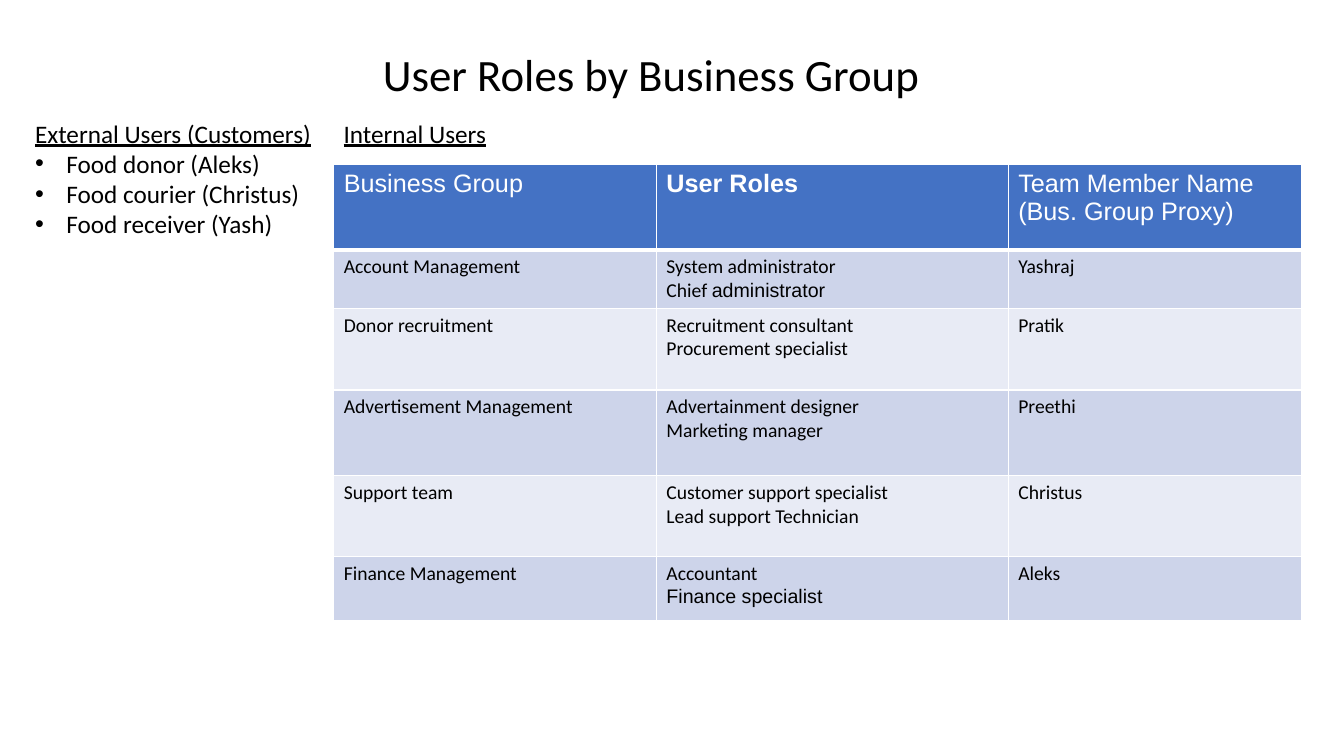
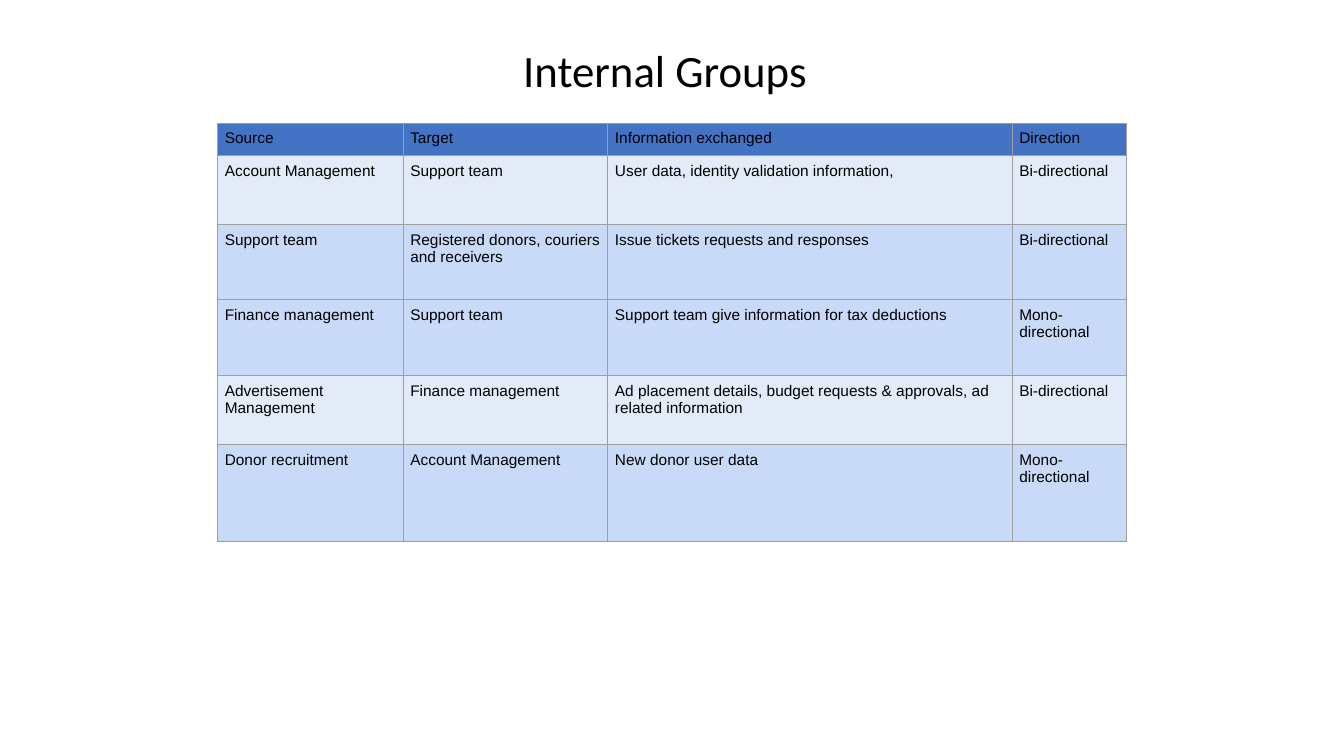
import dataclasses
import typing

import lxml.etree
import pptx
import pptx.dml.color
import pptx.enum.text
import pptx.oxml.ns
import pptx.slide
import pptx.table
import pptx.text.text
import pptx.util

Inches = pptx.util.Inches
qn = pptx.oxml.ns.qn
Format = dict[str, typing.Any]


# Theme: every colour and type style
@dataclasses.dataclass(frozen=True)
class Theme:
    black: str = "000000"
    white: str = "FFFFFF"
    grid: str = "9E9E9E"
    header: str = "4472C4"
    role_dark: str = "CDD4EA"
    role_light: str = "E8EBF5"
    exchange_dark: str = "C9DAF8"
    exchange_light: str = "E3EBF9"
    title: Format = dataclasses.field(default_factory=lambda: text_format("Calibri", 32))
    list_text: Format = dataclasses.field(default_factory=lambda: text_format("Calibri", 18))
    role_header: Format = dataclasses.field(default_factory=lambda: text_format("Arial", 18))
    role_text: Format = dataclasses.field(default_factory=lambda: text_format("Calibri", 14))
    exchange_text: Format = dataclasses.field(default_factory=lambda: text_format("Arial", 11))


def text_format(name: str, size: float) -> Format:
    return {"name": name, "size": pptx.util.Pt(size), "bold": False}


THEME = Theme()


# Descriptions of repeated elements
@dataclasses.dataclass(frozen=True)
class Span:
    text: str
    changes: Format = dataclasses.field(default_factory=dict)


@dataclasses.dataclass(frozen=True)
class Line:
    spans: tuple[Span, ...]
    bullet: bool = False


@dataclasses.dataclass(frozen=True)
class TextBox:
    left: float
    top: float
    width: float
    height: float
    style: Format
    lines: tuple[Line, ...]


Cell = tuple[Line, ...]


@dataclasses.dataclass(frozen=True)
class Grid:
    left: float
    top: float
    columns: tuple[float, ...]
    heights: tuple[float, ...]
    rows: tuple[tuple[Cell, ...], ...]
    fills: tuple[str, ...]
    header_style: Format
    header_color: str
    body_style: Format
    margins: tuple[float, float]
    border_color: str
    border: float
    header_border: float


def line(text: str, bullet: bool = False, **changes: typing.Any) -> Line:
    return Line((Span(text, changes),), bullet)


def cells(*texts: str) -> tuple[Cell, ...]:
    return tuple(tuple(line(part) for part in text.split("\n")) for text in texts)


# Text
def add_bullet(para: typing.Any) -> None:
    properties = para._p.get_or_add_pPr()
    properties.set("marL", str(Inches(0.31)))
    properties.set("indent", str(Inches(-0.31)))
    color = lxml.etree.SubElement(properties, qn("a:buClr"))
    lxml.etree.SubElement(color, qn("a:srgbClr"), val=THEME.black)
    lxml.etree.SubElement(properties, qn("a:buFont"), typeface="Arial")
    lxml.etree.SubElement(properties, qn("a:buChar"), char="•")


def write_lines(frame: pptx.text.text.TextFrame, lines: tuple[Line, ...],
                style: Format, color: str) -> None:
    for index, content in enumerate(lines):
        para = frame.add_paragraph() if index else frame.paragraphs[0]
        if content.bullet:
            add_bullet(para)
        for span in content.spans:
            run = para.add_run()
            run.text = span.text
            for name, value in (style | span.changes).items():
                setattr(run.font, name, value)
            run.font.color.rgb = pptx.dml.color.RGBColor.from_string(color)


def add_text(page: pptx.slide.Slide, item: TextBox) -> None:
    box = page.shapes.add_textbox(Inches(item.left), Inches(item.top),
                                  Inches(item.width), Inches(item.height))
    box.text_frame.word_wrap = True
    box.text_frame.auto_size = pptx.enum.text.MSO_AUTO_SIZE.SHAPE_TO_FIT_TEXT
    write_lines(box.text_frame, item.lines, item.style, THEME.black)


def add_title(page: pptx.slide.Slide, text: str, left: float, top: float, width: float) -> None:
    add_text(page, TextBox(left, top, width, 0.64, THEME.title, (line(text),)))


# Tables
def set_borders(cell: pptx.table._Cell, color: str, widths: dict[str, float]) -> None:
    properties = cell._tc.get_or_add_tcPr()
    for index, (side, width) in enumerate(widths.items()):
        edge = lxml.etree.Element(qn(f"a:ln{side}"), w=str(pptx.util.Pt(width)))
        fill = lxml.etree.SubElement(edge, qn("a:solidFill"))
        lxml.etree.SubElement(fill, qn("a:srgbClr"), val=color)
        properties.insert(index, edge)


def add_grid(page: pptx.slide.Slide, grid: Grid) -> None:
    table = page.shapes.add_table(
        len(grid.rows), len(grid.columns), Inches(grid.left), Inches(grid.top),
        Inches(sum(grid.columns)), Inches(sum(grid.heights))).table
    for column, width in zip(table.columns, grid.columns):
        column.width = Inches(width)
    side, end = (Inches(margin) for margin in grid.margins)
    margins = {"margin_left": side, "margin_right": side, "margin_top": end, "margin_bottom": end}
    for row_index, (contents, height) in enumerate(zip(grid.rows, grid.heights)):
        table.rows[row_index].height = Inches(height)
        is_header = row_index == 0
        style = grid.header_style if is_header else grid.body_style
        color = grid.header_color if is_header else THEME.black
        widths = {"L": grid.border, "R": grid.border,
                  "T": grid.header_border if row_index == 1 else grid.border,
                  "B": grid.header_border if is_header else grid.border}
        for column_index, lines in enumerate(contents):
            cell = table.cell(row_index, column_index)
            for name, value in margins.items():
                setattr(cell, name, value)
            cell.fill.solid()
            cell.fill.fore_color.rgb = pptx.dml.color.RGBColor.from_string(grid.fills[row_index])
            set_borders(cell, grid.border_color, widths)
            write_lines(cell.text_frame, lines, style, color)


# Slide content
USER_LISTS = (
    TextBox(0.25, 1.12, 2.97, 1.31, THEME.list_text, (
        line("External Users (Customers)", underline=True),
        *(line(user, bullet=True) for user in
          ("Food donor (Aleks)", "Food courier (Christus)", "Food receiver (Yash)")))),
    TextBox(3.31, 1.12, 1.63, 0.4, THEME.list_text, (line("Internal Users", underline=True),)),
)

ROLES = Grid(
    left=3.31, top=1.63,
    columns=(3.2, 3.49, 2.91),
    heights=(0.85, 0.58, 0.81, 0.85, 0.8, 0.64),
    rows=(
        ((line("Business Group"),), (line("User Roles", bold=True),),
         (line("Team Member Name"), line("(Bus. Group Proxy)"))),
        ((line("Account Management"),),
         (line("System administrator"),
          Line((Span("Chief "), Span("administrator", {"name": "Arial"})))),
         (line("Yashraj"),)),
        cells("Donor recruitment", "Recruitment consultant\nProcurement specialist", "Pratik"),
        cells("Advertisement Management", "Advertainment designer\nMarketing manager", "Preethi"),
        cells("Support team", "Customer support specialist\nLead support Technician", "Christus"),
        ((line("Finance Management"),),
         (line("Accountant"), line("Finance specialist", name="Arial")),
         (line("Aleks"),)),
    ),
    fills=(THEME.header, *(THEME.role_dark, THEME.role_light) * 2, THEME.role_dark),
    header_style=THEME.role_header, header_color=THEME.white, body_style=THEME.role_text,
    margins=(0.1, 0.05), border_color=THEME.white, border=1, header_border=3,
)

EXCHANGES = Grid(
    left=2.16, top=1.22,
    columns=(1.84, 2.03, 4.01, 1.13),
    heights=(0.32, 0.68, 0.75, 0.75, 0.69, 0.96),
    rows=(
        cells("Source", "Target", "Information exchanged", "Direction"),
        cells("Account Management", "Support team",
              "User data, identity validation information,", "Bi-directional"),
        cells("Support team", "Registered donors, couriers and receivers",
              "Issue tickets requests and responses", "Bi-directional"),
        cells("Finance management", "Support team",
              "Support team give information for tax deductions", "Mono-directional"),
        cells("Advertisement Management", "Finance management",
              "Ad placement details, budget requests & approvals, ad related information",
              "Bi-directional"),
        cells("Donor recruitment", "Account Management",
              "New donor user data", "Mono-directional"),
    ),
    fills=(THEME.header, THEME.exchange_light, THEME.exchange_dark, THEME.exchange_dark,
           THEME.exchange_light, THEME.exchange_dark),
    header_style=THEME.exchange_text, header_color=THEME.black, body_style=THEME.exchange_text,
    margins=(0.07, 0.07), border_color=THEME.grid, border=0.75, header_border=0.75,
)


# Slides
def build_roles(page: pptx.slide.Slide) -> None:
    add_title(page, "User Roles by Business Group", 3.7, 0.41, 5.57)
    add_grid(page, ROLES)
    for item in USER_LISTS:
        add_text(page, item)


def build_exchanges(page: pptx.slide.Slide) -> None:
    add_title(page, "Internal Groups", 5.09, 0.37, 3.15)
    add_grid(page, EXCHANGES)


def main() -> None:
    deck = pptx.Presentation()
    deck.slide_width, deck.slide_height = Inches(13.33), Inches(7.5)
    for build in (build_roles, build_exchanges):
        build(deck.slides.add_slide(deck.slide_layouts[6]))
    deck.save("out.pptx")


main()
